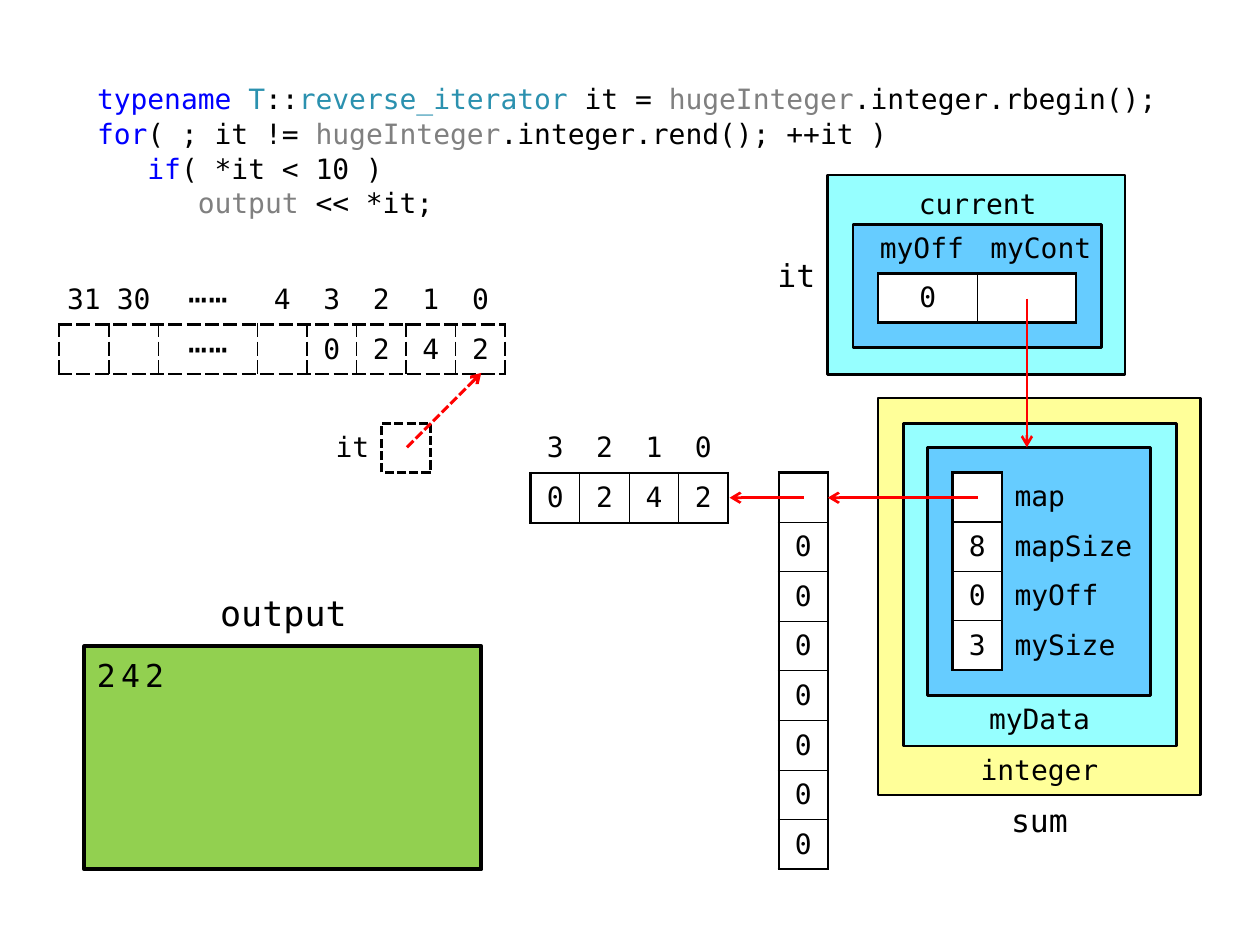
from dataclasses import dataclass

from lxml.etree import SubElement
from pptx import Presentation
from pptx.dml.color import RGBColor
from pptx.enum.dml import MSO_LINE
from pptx.enum.shapes import MSO_CONNECTOR, MSO_SHAPE
from pptx.enum.text import MSO_ANCHOR, MSO_AUTO_SIZE, PP_ALIGN
from pptx.oxml.ns import qn
from pptx.util import Inches, Pt


@dataclass(frozen=True)
class Theme:
    font: str = "DejaVu Sans Mono"
    black: str = "000000"
    white: str = "FFFFFF"
    red: str = "FF0000"
    keyword: str = "0000FF"
    type_name: str = "2B91AF"
    variable: str = "808080"
    yellow: str = "FFFF99"
    cyan: str = "96FFFF"
    blue: str = "66CCFF"
    green: str = "92D050"
    body_size: float = 16
    name_size: float = 18
    heading_size: float = 20
    outline: float = 1.5
    row_height: float = 0.39
    code_indent: float = 0.4


THEME = Theme()


def write(paragraph, text, size=THEME.body_size, color=THEME.black, spacing=0, align=None):
    run = paragraph.add_run()
    run.text = text
    run.font.name = THEME.font
    run.font.size = Pt(size)
    run.font.color.rgb = RGBColor.from_string(color)
    if spacing:
        run.font._element.set("spc", str(spacing * 100))
    if align is not None:
        paragraph.alignment = align


def set_margins(target, left, top, right, bottom):
    target.margin_left, target.margin_top = Inches(left), Inches(top)
    target.margin_right, target.margin_bottom = Inches(right), Inches(bottom)


class Diagram:
    def __init__(self, slide, theme):
        self.slide = slide
        self.theme = theme

    def code(self, bounds, lines):
        self.slide.shapes.title.element.getparent().remove(self.slide.shapes.title.element)
        body = self.slide.placeholders[1]
        body.left, body.top, body.width, body.height = map(Inches, bounds)
        frame = body.text_frame
        frame.auto_size = MSO_AUTO_SIZE.NONE
        frame.vertical_anchor = MSO_ANCHOR.TOP
        set_margins(frame, 0.1, 0.05, 0.1, 0.05)
        for index, (level, pieces) in enumerate(lines):
            paragraph = frame.add_paragraph() if index else frame.paragraphs[0]
            for text, color in pieces:
                write(paragraph, text, color=color)
            paragraph.line_spacing = 1.0
            paragraph.space_before = Pt(0)
            paragraph.space_after = Pt(0.6)
            properties = paragraph._p.get_or_add_pPr()
            properties.set("marL", str(Inches(level * self.theme.code_indent)))
            properties.set("indent", "0")
            SubElement(properties, qn("a:buNone"))

    def box(self, bounds, fill, kind=MSO_SHAPE.FLOWCHART_PROCESS, weight=THEME.outline, dash=None):
        shape = self.slide.shapes.add_shape(kind, *map(Inches, bounds))
        shape.shadow.inherit = False
        shape.fill.solid()
        shape.fill.fore_color.rgb = RGBColor.from_string(fill)
        shape.line.color.rgb = RGBColor.from_string(self.theme.black)
        shape.line.width = Pt(weight)
        if dash:
            shape.line.dash_style = dash
        return shape

    def label(self, left, top, width, text, height=THEME.row_height,
              anchor=MSO_ANCHOR.TOP, align=PP_ALIGN.CENTER, **style):
        frame = self.slide.shapes.add_textbox(*map(Inches, (left, top, width, height))).text_frame
        frame.word_wrap = True
        frame.vertical_anchor = anchor
        set_margins(frame, 0.08, 0.05, 0.08, 0)
        write(frame.paragraphs[0], text, align=align, **style)

    def border(self, cell, tag, weight, dashed):
        line = SubElement(cell._tc.get_or_add_tcPr(), qn(tag), w=str(Pt(weight)))
        if not weight:
            SubElement(line, qn("a:noFill"))
            return
        fill = SubElement(line, qn("a:solidFill"))
        SubElement(fill, qn("a:srgbClr"), val=self.theme.black)
        SubElement(line, qn("a:prstDash"), val="sysDash" if dashed else "solid")

    def grid(self, bounds, rows, weights, inner, framed, dashed=False):
        left, top, width, height = map(Inches, bounds)
        table = self.slide.shapes.add_table(
            len(rows), len(weights), left, top, width, height).table
        table.first_row = table.horz_banding = False
        for column, weight in zip(table.columns, weights):
            column.width = int(width * weight / sum(weights))
        for row in table.rows:
            row.height = int(height / len(rows))

        def inside(row, column):
            return 0 <= row < len(rows) and 0 <= column < len(weights) and framed(row, column)

        for row, values in enumerate(rows):
            for column, text in enumerate(values):
                cell = table.cell(row, column)
                cell.vertical_anchor = MSO_ANCHOR.MIDDLE
                side_label = not framed(row, column) and framed(row, 0)
                side = 0.1 if side_label else 0.04
                set_margins(cell, side, 0.04, side, 0.04)
                ellipsis = text.startswith("⋯")
                write(cell.text_frame.paragraphs[0], text,
                      size=self.theme.name_size if ellipsis else self.theme.body_size,
                      spacing=int(ellipsis),
                      align=PP_ALIGN.LEFT if side_label else PP_ALIGN.CENTER)
                neighbours = (("a:lnL", row, column - 1), ("a:lnR", row, column + 1),
                              ("a:lnT", row - 1, column), ("a:lnB", row + 1, column))
                for tag, *position in neighbours:
                    shared = inside(row, column) + inside(*position)
                    weight = (0, self.theme.outline, inner)[shared]
                    self.border(cell, tag, weight, dashed)
                if framed(row, column):
                    cell.fill.solid()
                    cell.fill.fore_color.rgb = RGBColor.from_string(self.theme.white)
                else:
                    cell.fill.background()

    def arrow(self, start, end, weight=THEME.outline, dash=None):
        connector = self.slide.shapes.add_connector(
            MSO_CONNECTOR.STRAIGHT, *map(Inches, (*start, *end)))
        connector.line.color.rgb = RGBColor.from_string(self.theme.red)
        connector.line.width = Pt(weight)
        if dash:
            connector.line.dash_style = dash
        SubElement(connector.line._get_or_add_ln(), qn("a:tailEnd"), type="arrow")
        SubElement(connector._element.spPr, qn("a:effectLst"))


def main():
    presentation = Presentation()
    presentation.slide_width, presentation.slide_height = Inches(10), Inches(7.5)
    diagram = Diagram(presentation.slides.add_slide(presentation.slide_layouts[1]), THEME)
    black, keyword, variable = THEME.black, THEME.keyword, THEME.variable
    dash = MSO_LINE.SQUARE_DOT

    diagram.code((0.67, 0.6, 8.66, 1.18), [
        (0, [("typename ", keyword), ("T", THEME.type_name), ("::", black),
             ("reverse_iterator ", THEME.type_name), ("it = ", black),
             ("hugeInteger", variable), (".integer.rbegin();", black)]),
        (0, [("for", keyword), ("( ; it != ", black), ("hugeInteger", variable),
             (".integer.rend(); ++it )", black)]),
        (1, [("if", keyword), ("( *it < 10 )", black)]),
        (2, [("output ", variable), ("<< *it;", black)]),
    ])

    for bounds, fill in (((6.97, 3.16, 2.56, 3.15), THEME.yellow),
                         ((7.17, 3.36, 2.17, 2.56), THEME.cyan),
                         ((7.36, 3.55, 1.77, 1.97), THEME.blue),
                         ((6.57, 1.39, 2.36, 1.58), THEME.cyan),
                         ((6.77, 1.78, 1.97, 0.98), THEME.blue)):
        diagram.box(bounds, fill)
    diagram.box((3.03, 3.36, 0.39, 0.39), THEME.white, MSO_SHAPE.RECTANGLE, 1.75, dash)
    output = diagram.box((0.67, 5.13, 3.15, 1.77), THEME.green, weight=2.25).text_frame
    output.vertical_anchor = MSO_ANCHOR.TOP
    set_margins(output, 0.1, 0.08, 0.1, 0.05)
    write(output.paragraphs[0], "242", size=THEME.name_size, spacing=3, align=PP_ALIGN.LEFT)

    diagram.grid((0.47, 2.18, 3.54, 0.79),
                 [["31", "30", "⋯⋯", "4", "3", "2", "1", "0"],
                  ["", "", "⋯⋯", "", "0", "2", "4", "2"]],
                 [1, 1, 2, 1, 1, 1, 1, 1], 1, lambda row, column: row == 1, dashed=True)
    diagram.grid((4.21, 3.36, 1.57, 0.79), ["3210", "0242"], [1] * 4, 0.75,
                 lambda row, column: row == 1)
    diagram.grid((6.18, 3.75, 0.39, 3.15), [[""]] + [["0"]] * 7, [1], 0.75,
                 lambda row, column: True)
    diagram.grid((7.56, 3.75, 1.57, 1.57),
                 [["", "map"], ["8", "mapSize"], ["0", "myOff"], ["3", "mySize"]],
                 [1, 3], 1, lambda row, column: column == 0)
    diagram.grid((6.97, 2.17, 1.57, 0.39), [["0", ""]], [1, 1], 0.75,
                 lambda row, column: True)

    diagram.label(5.96, 1.98, 0.59, "it", size=THEME.name_size, align=PP_ALIGN.RIGHT)
    diagram.label(2.42, 3.36, 0.59, "it", align=PP_ALIGN.RIGHT)
    diagram.label(7.17, 1.39, 1.18, "current", anchor=MSO_ANCHOR.MIDDLE)
    diagram.label(6.75, 1.78, 0.98, "myOff", align=PP_ALIGN.RIGHT)
    diagram.label(7.78, 1.78, 0.98, "myCont", align=PP_ALIGN.LEFT)
    diagram.label(7.76, 5.52, 0.98, "myData")
    diagram.label(7.56, 5.92, 1.38, "integer")
    diagram.label(7.76, 6.31, 0.98, "sum", size=THEME.name_size)
    diagram.label(1.46, 4.54, 1.58, "output", height=0.59,
                  anchor=MSO_ANCHOR.MIDDLE, size=THEME.heading_size)

    diagram.arrow((3.23, 3.55), (3.82, 2.96), 1.75, dash)
    diagram.arrow((6.38, 3.95), (5.79, 3.95))
    diagram.arrow((7.76, 3.95), (6.57, 3.95))
    diagram.arrow((8.15, 2.37), (8.15, 3.55))
    presentation.save("out.pptx")


if __name__ == "__main__":
    main()
